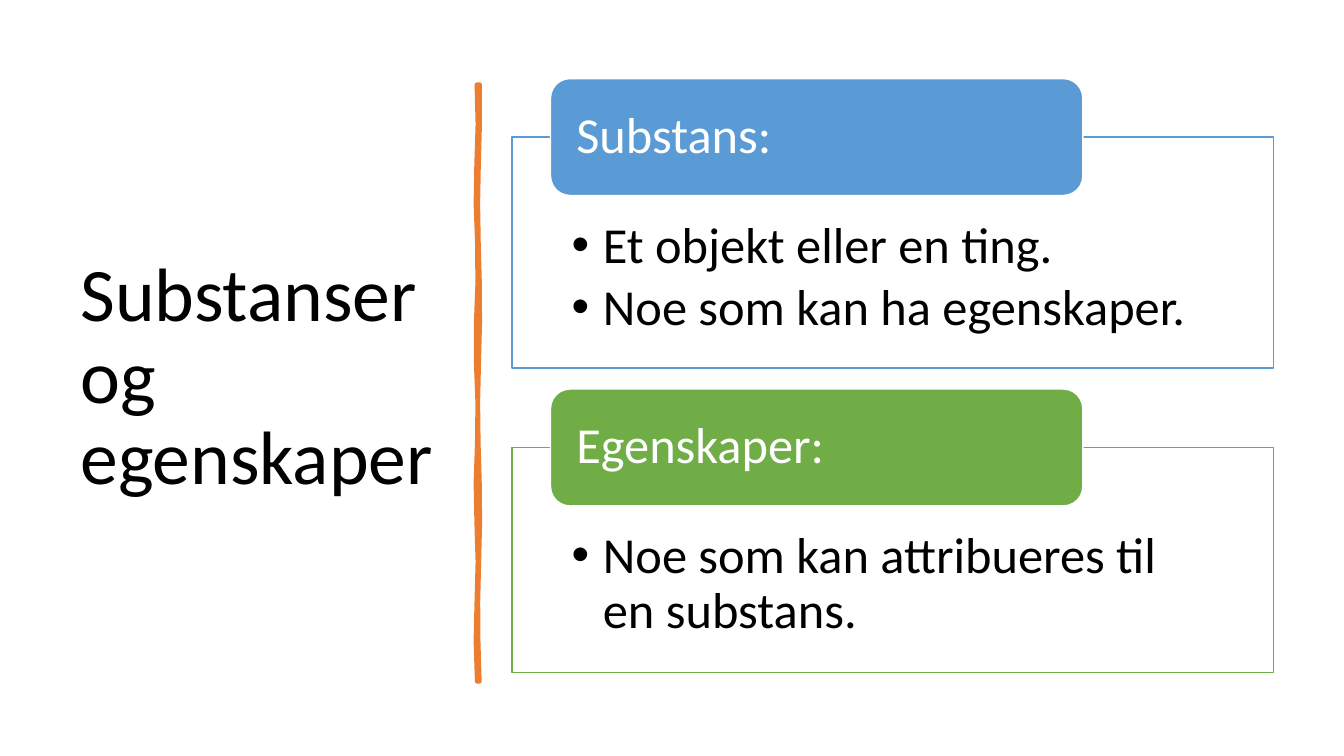
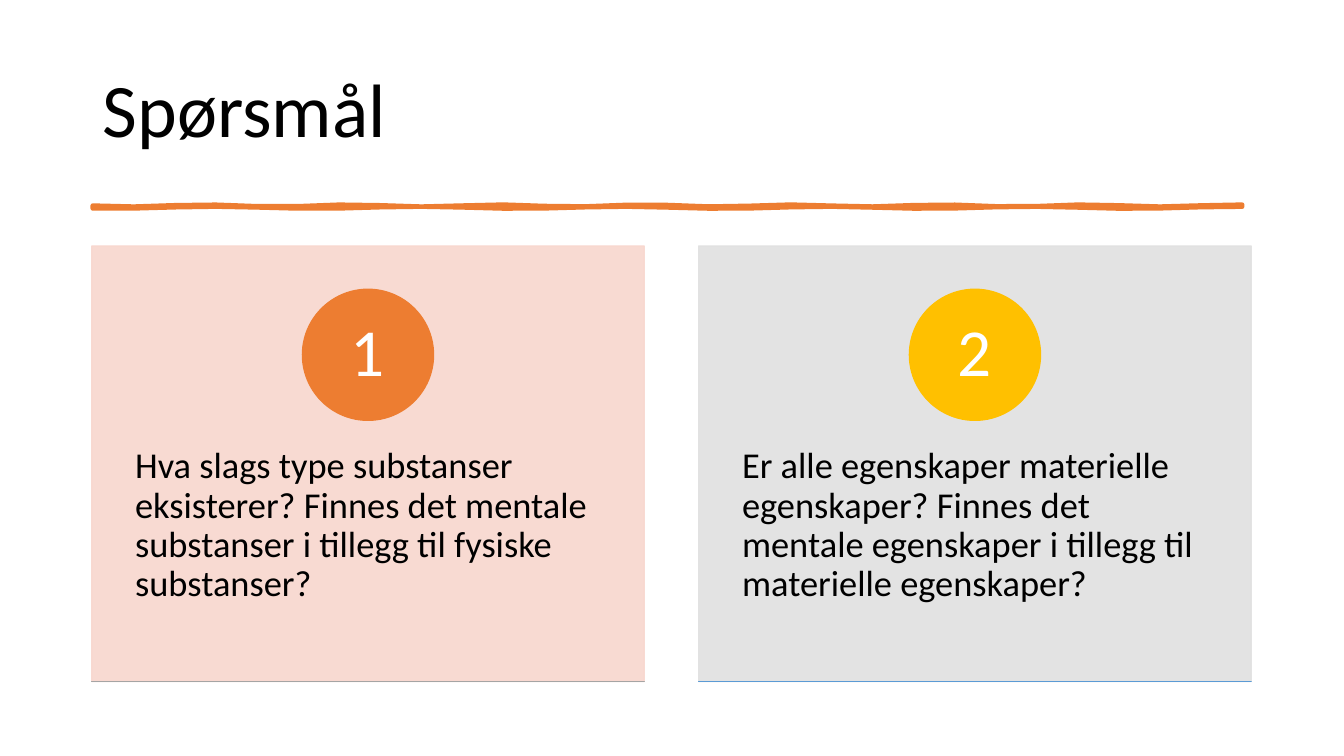
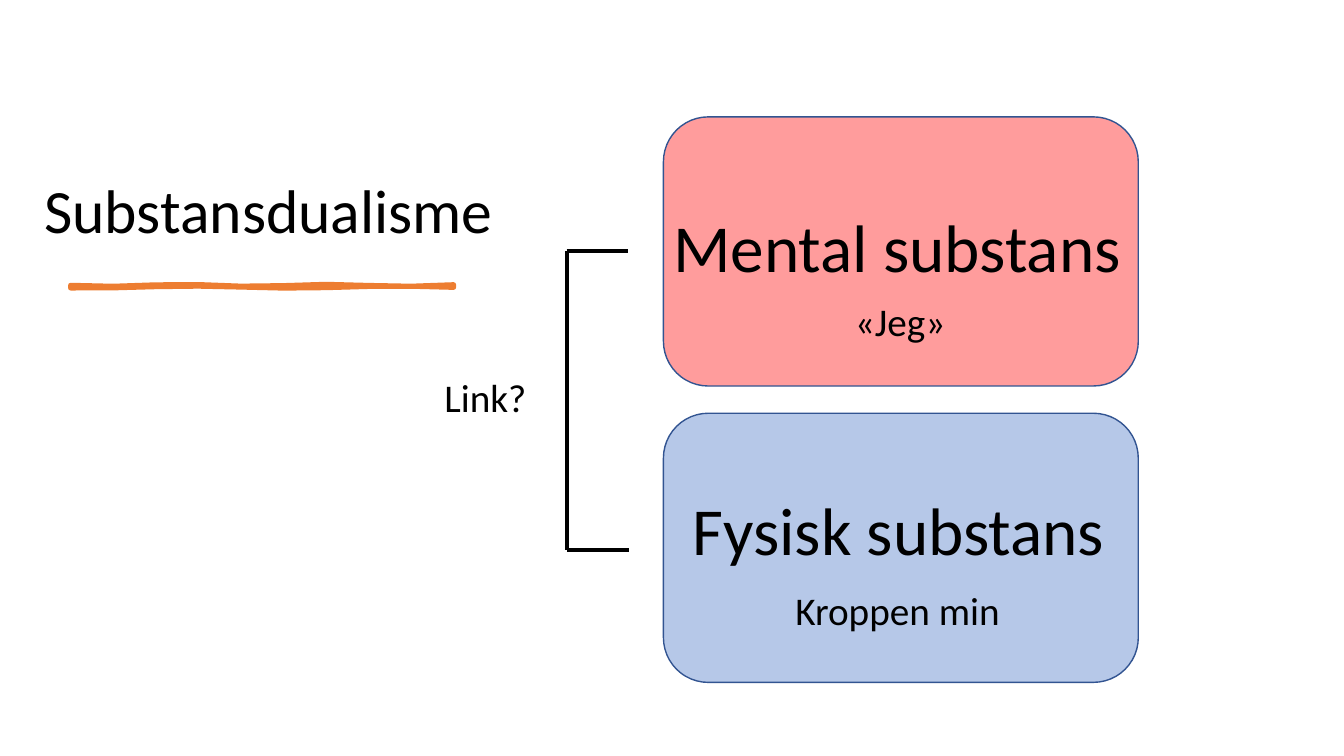
import math

from lxml import etree
from pptx import Presentation
from pptx import util as u
from pptx.dml.color import RGBColor
from pptx.enum import shapes, text
from pptx.oxml.ns import qn


class Theme:
    font = "Calibri"
    black, white = "000000", "FFFFFF"
    orange, gold, gray = "ED7D31", "FFC000", "A5A5A5"
    blue, green = "5B9BD5", "70AD47"
    pale_red, pale_gray = "F8D7CE", "E1E1E1"
    red, deep_blue, navy = "FF0000", "4472C4", "325491"
    title, small_title = 54, 44
    large, body, label, card = 48, 36, 28, 26


def add_panel(slide, kind, box, fill, line=None, opacity=100):
    """Add a filled shape, outlined if line is given; opacity is in percent."""
    shape = slide.shapes.add_shape(kind, *map(u.Inches, box))
    shape.shadow.inherit = False
    shape.fill.solid()
    shape.fill.fore_color.rgb = RGBColor.from_string(fill)
    if line:
        shape.line.color.rgb = RGBColor.from_string(line)
        shape.line.width = u.Pt(1)
    else:
        shape.line.fill.background()
    if opacity < 100:
        for color in shape._element.spPr.iter(qn("a:srgbClr")):
            if color.get("val") == fill:
                etree.SubElement(color, qn("a:alpha"), val=str(opacity * 1000))
    return shape


def write(shape, lines, size, color=Theme.black, margins=(0.1, 0.05, 0.1, 0.05),
          anchor=text.MSO_ANCHOR.TOP, align=text.PP_ALIGN.LEFT,
          spacing=0.9, after=0, bullet=False, wrap=True):
    """Fill the shape with one paragraph for each line."""
    frame = shape.text_frame
    frame.word_wrap = wrap
    frame.vertical_anchor = anchor
    (frame.margin_left, frame.margin_top,
     frame.margin_right, frame.margin_bottom) = map(u.Inches, margins)
    for number, line in enumerate(lines):
        paragraph = frame.add_paragraph() if number else frame.paragraphs[0]
        paragraph.text = line
        paragraph.alignment = align
        paragraph.line_spacing = spacing
        paragraph.space_after = u.Pt(after)
        if bullet:
            properties = paragraph._p.get_or_add_pPr()
            properties.set("marL", str(u.Inches(0.31)))
            properties.set("indent", str(u.Inches(-0.31)))
            etree.SubElement(properties, qn("a:buFont"), typeface="Arial")
            etree.SubElement(properties, qn("a:buChar"), char="•")
        paragraph.font.name = Theme.font
        paragraph.font.size = u.Pt(size)
        paragraph.font.color.rgb = RGBColor.from_string(color)


presentation = Presentation()
presentation.slide_width = u.Inches(13.33)
presentation.slide_height = u.Inches(7.5)
middle, bottom = text.MSO_ANCHOR.MIDDLE, text.MSO_ANCHOR.BOTTOM
rectangle = shapes.MSO_SHAPE.RECTANGLE
rounded = shapes.MSO_SHAPE.ROUNDED_RECTANGLE

# Shared parts: backdrop, title and brush stroke (start, length, direction, width)
openings = [
    ("Substanser og egenskaper", (0.7, 0.7, 3.74, 6.11), Theme.title, middle,
     (4.74, 0.84), 5.92, "down", 3.25),
    ("Spørsmål", (0.92, 0.4, 11.5, 1.45), Theme.title, middle,
     (0.92, 2.05), 11.4, "across", 3.25),
    ("Substansdualisme", (0.34, 0.36, 5.13, 2.14), Theme.small_title, bottom,
     (0.7, 2.84), 3.8, "across", 3.5),
]
for title, box, size, anchor, (x, y), length, direction, width in openings:
    slide = presentation.slides.add_slide(presentation.slide_layouts[6])
    add_panel(slide, rectangle, (0, 0, 13.33, 7.5), Theme.white)
    title_box = slide.shapes.add_textbox(*map(u.Inches, box))
    write(title_box, [title], size, anchor=anchor, after=6)

    count = round(length / 0.4)
    steps = [length * step / count for step in range(count + 1)]
    upper = [(s, -0.01 + 0.01 * math.sin(4.3 * s)) for s in steps]
    lower = [(s, 0.01 + 0.01 * math.sin(3.1 * s + 1)) for s in reversed(steps)]
    outline = [(x + across, y + along) if direction == "down" else (x + along, y + across)
               for along, across in upper + lower]
    points = [(u.Inches(left), u.Inches(top)) for left, top in outline]
    builder = slide.shapes.build_freeform(*points[0])
    builder.add_line_segments(points[1:], close=True)
    stroke = builder.convert_to_shape()
    stroke.shadow.inherit = False
    stroke.fill.solid()
    stroke.fill.fore_color.rgb = RGBColor.from_string(Theme.orange)
    stroke.line.color.rgb = RGBColor.from_string(Theme.orange)
    stroke.line.width = u.Pt(width)
    etree.SubElement(stroke._element.spPr.find(qn("a:ln")), qn("a:round"))

definitions, questions, dualism = presentation.slides

# Slide 1: two headed frames
sections = [
    ("Substans:", ["Et objekt eller en ting.", "Noe som kan ha egenskaper."],
     0.78, 2.29, Theme.blue),
    ("Egenskaper:", ["Noe som kan attribueres til en substans."],
     3.86, 2.23, Theme.green),
]
for heading, points, top, height, color in sections:
    frame_panel = add_panel(definitions, rectangle, (5.08, top + 0.58, 7.55, height),
                            Theme.white, color, 90)
    write(frame_panel, points, Theme.body, margins=(0.59, 0.82, 0.59, 0.28),
          after=5.4, bullet=True)
    header = add_panel(definitions, rounded, (5.46, top, 5.28, 1.16), color, Theme.white)
    write(header, [heading], Theme.body, Theme.white, (0.2, 0, 0.2, 0), middle)

# Slide 2: two numbered question cards
cards = [
    ("Hva slags type substanser eksisterer? Finnes det mentale substanser "
     "i tillegg til fysiske substanser?",
     Theme.pale_red, Theme.orange, Theme.gray),
    ("Er alle egenskaper materielle egenskaper? Finnes det mentale egenskaper "
     "i tillegg til materielle egenskaper?",
     Theme.pale_gray, Theme.gold, Theme.blue),
]
for index, (question, fill, accent, rule_color) in enumerate(cards):
    left = 0.91 + index * 6.02
    card = add_panel(questions, rectangle, (left, 2.44, 5.48, 4.32), fill, fill, 90)
    write(card, [question], Theme.card, margins=(0.43, 2, 0.43, 0.36))
    badge = add_panel(questions, shapes.MSO_SHAPE.OVAL,
                      (left + 2.09, 2.87, 1.3, 1.3), accent, accent)
    write(badge, [str(index + 1)], Theme.large, Theme.white, (0, 0, 0, 0),
          middle, text.PP_ALIGN.CENTER)
    add_panel(questions, rectangle, (left, 6.76, 5.48, 0), rule_color, rule_color)

# Slide 3: two substances
for top, fill in [(4.1, Theme.deep_blue), (1.16, Theme.red)]:
    add_panel(dualism, rounded, (6.58, top, 4.71, 2.67), fill, Theme.navy, 39)

labels = [
    ("Mental substans", (6.58, 1.99, 4.69, 0.91), Theme.large),
    ("«Jeg»", (8.38, 2.9, 1.11, 0.57), Theme.label),
    ("Link?", (4.31, 3.65, 1.02, 0.57), Theme.label),
    ("Fysisk substans", (6.77, 4.8, 4.33, 0.91), Theme.large),
    ("Kroppen min", (7.79, 5.77, 2.25, 0.57), Theme.label),
]
for label, box, size in labels:
    label_box = dualism.shapes.add_textbox(*map(u.Inches, box))
    write(label_box, [label], size, spacing=1.0, wrap=False)
    label_box.text_frame.auto_size = text.MSO_AUTO_SIZE.SHAPE_TO_FIT_TEXT

# Slide 3: bracket linking the substances
bracket = [(5.62, 2.49, 5.62, 5.46), (5.62, 5.46, 6.24, 5.46), (5.62, 2.49, 6.23, 2.49)]
for ends in bracket:
    side = dualism.shapes.add_connector(shapes.MSO_CONNECTOR.STRAIGHT,
                                        *map(u.Inches, ends))
    side.line.color.rgb = RGBColor.from_string(Theme.black)
    side.line.width = u.Pt(3)
    etree.SubElement(side._element.spPr, qn("a:effectLst"))

presentation.save("out.pptx")
